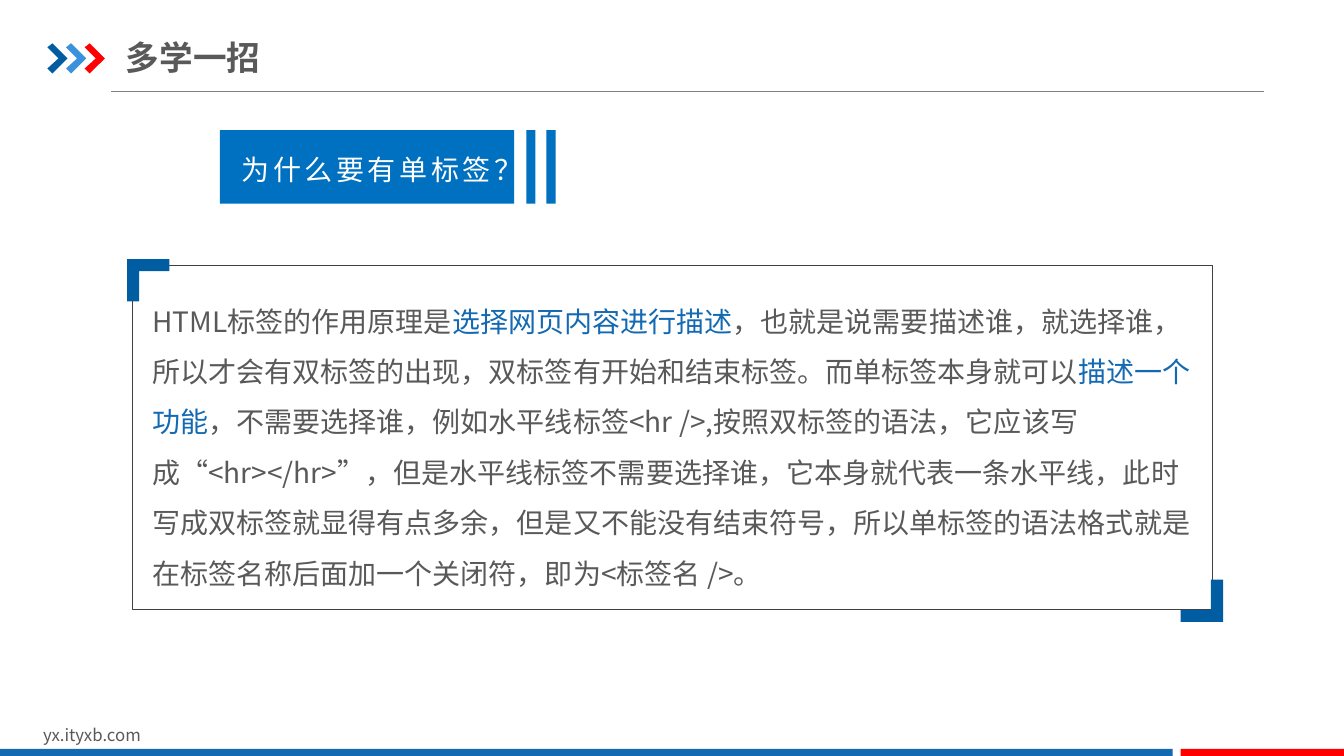
from lxml import etree
from pptx import Presentation
from pptx.dml.color import RGBColor
from pptx.enum.shapes import MSO_CONNECTOR, MSO_SHAPE
from pptx.enum.text import MSO_ANCHOR, PP_ALIGN
from pptx.oxml.ns import qn
from pptx.util import Inches, Pt

# Content
TITLE = "多学一招"
QUESTION = "为什么要有单标签？"
SITE = "yx.ityxb.com"
BODY = [
    ("HTML标签的作用原理是", "text"),
    ("选择网页内容进行描述", "accent"),
    ("，也就是说需要描述谁，就选择谁，所以才会有双标签的出现，双标签有开始和结束标签。"
     "而单标签本身就可以", "text"),
    ("描述一个功能", "accent"),
    ("，不需要选择谁，例如水平线标签<hr />,按照双标签的语法，它应该写成“<hr></hr>”，"
     "但是水平线标签不需要选择谁，它本身就代表一条水平线，此时写成双标签就显得有点多余，"
     "但是又不能没有结束符号，所以单标签的语法格式就是在标签名称后面加一个关闭符，"
     "即为<标签名 />。", "text"),
]

COLORS = {
    "text": "595959", "accent": "1369B2", "navy": "005DA2", "sky": "3992DB",
    "red": "FF0000", "blue": "0070C0", "white": "FFFFFF",
    "rule": "808080", "frame": "404040",
}
CJK = "Noto Sans CJK SC"

# Outlines relative to their top-left corner
CHEVRON = [(0, 0.04), (0.05, 0), (0.2, 0.15), (0.05, 0.3), (0, 0.25), (0.11, 0.15)]
CORNER = [(0, 0), (0.42, 0), (0.42, 0.12), (0.12, 0.12), (0.12, 0.42), (0, 0.42)]

prs = Presentation()
prs.slide_width, prs.slide_height = Inches(13.33), Inches(7.5)
s = prs.slides.add_slide(prs.slide_layouts[6])


def rgb(name):
    return RGBColor.from_string(COLORS[name])


def paint(sp, fill=None, line=None):
    sp.shadow.inherit = False
    if fill:
        sp.fill.solid()
        sp.fill.fore_color.rgb = rgb(fill)
    else:
        sp.fill.background()
    if line:
        sp.line.color.rgb = rgb(line)
        sp.line.width = Pt(0.25)
    else:
        sp.line.fill.background()


def add_block(x, y, w, h, fill=None, line=None, kind=MSO_SHAPE.RECTANGLE):
    sp = s.shapes.add_shape(kind, Inches(x), Inches(y), Inches(w), Inches(h))
    paint(sp, fill, line)
    return sp


def add_outline(points, x, y, fill, sign=1):
    pts = [(Inches(x + sign * dx), Inches(y + sign * dy)) for dx, dy in points]
    builder = s.shapes.build_freeform(*pts[0], scale=1.0)
    builder.add_line_segments(pts[1:], close=True)
    paint(builder.convert_to_shape(), fill)


def add_text(runs, x, y, w, h, size=20, font=CJK, bold=False, align=PP_ALIGN.LEFT,
             anchor=MSO_ANCHOR.TOP, inset=(0.1, 0.05), spacing=None):
    tf = s.shapes.add_textbox(Inches(x), Inches(y), Inches(w), Inches(h)).text_frame
    tf.word_wrap = True
    tf.vertical_anchor = anchor
    tf.margin_left = tf.margin_right = Inches(inset[0])
    tf.margin_top = tf.margin_bottom = Inches(inset[1])
    p = tf.paragraphs[0]
    p.alignment = align
    p.line_spacing = spacing
    for text, color in runs:
        r = p.add_run()
        r.text = text
        r.font.size, r.font.bold, r.font.name = Pt(size), bold, font
        r.font.color.rgb = rgb(color)
        rPr = r.font._element
        rPr.set("lang", "zh-CN")
        etree.SubElement(rPr, qn("a:ea")).set("typeface", CJK)


# Header: rule, chevrons and title
rule = s.shapes.add_connector(MSO_CONNECTOR.STRAIGHT, Inches(1.1), Inches(0.91),
                              Inches(12.54), Inches(0.91))
rule.line.color.rgb = rgb("rule")
rule.line.width = Pt(0.75)
etree.SubElement(rule._element.spPr, qn("a:effectLst"))
for i, color in enumerate(("navy", "sky", "red")):
    add_outline(CHEVRON, 0.47 + i * 0.185, 0.43, color)
add_text([(TITLE, "text")], 1.25, 0.29, 4.26, 0.55, size=24, bold=True,
         anchor=MSO_ANCHOR.MIDDLE, inset=(0, 0.07))

# Footer: site and bars
add_text([(SITE, "text")], 0.33, 7.14, 3.18, 0.3, size=12)
for x, w, color in ((0, 11.63, "accent"), (11.71, 1.63, "red")):
    add_block(x, 7.43, w, 0.09, color)

# Question banner
for x, w in ((2.18, 2.92), (5.22, 0.09), (5.42, 0.09)):
    add_block(x, 1.29, w, 0.73, "blue")
add_text([(QUESTION, "white")], 2.3, 1.46, 2.7, 0.44, font="Arial",
         align=PP_ALIGN.JUSTIFY)

# Framed explanation with two corner marks
frame = add_block(1.31, 2.63, 10.71, 3.41, line="frame",
                  kind=MSO_SHAPE.ROUNDED_RECTANGLE)
frame.adjustments[0] = 0
add_text(BODY, 1.51, 2.85, 10.45, 2.97, inset=(0, 0), spacing=1.5)
add_outline(CORNER, 1.26, 2.57, "navy")
add_outline(CORNER, 12.13, 6.17, "navy", sign=-1)

prs.save("out.pptx")
